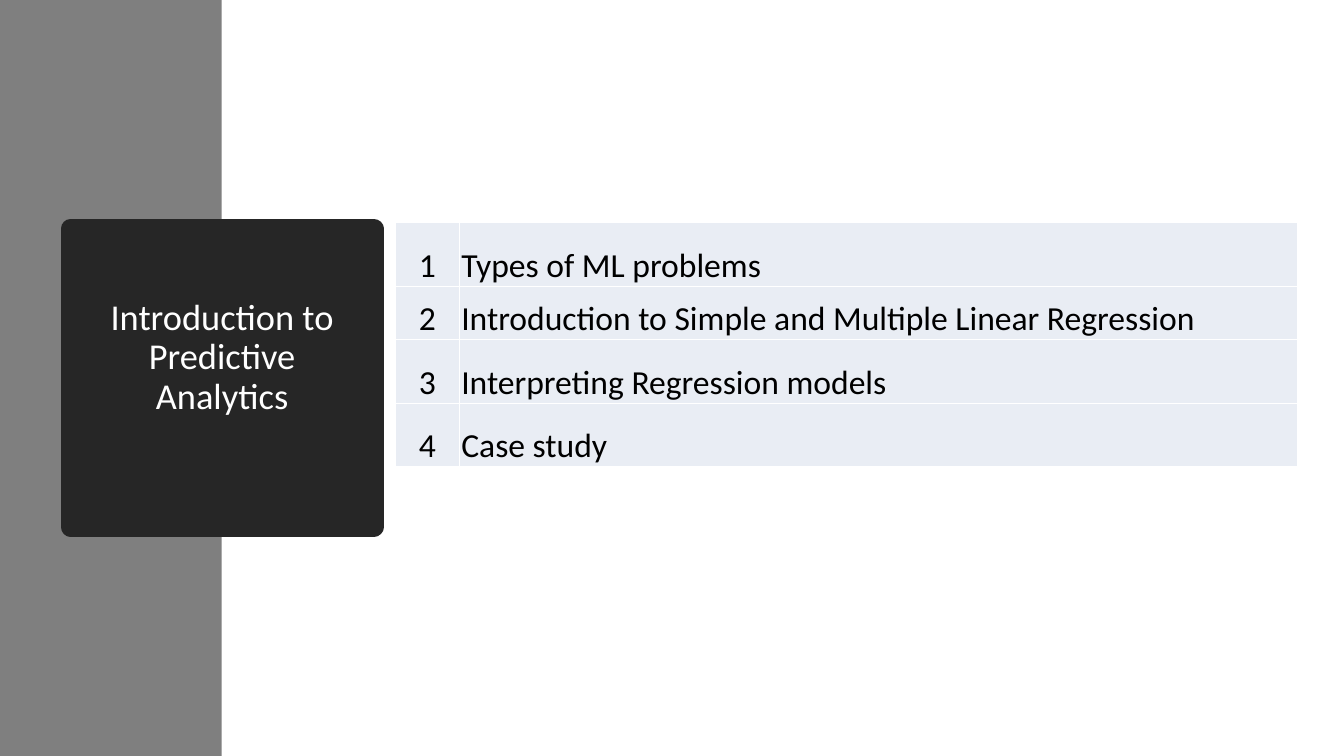
from dataclasses import dataclass

from lxml import etree
from pptx import Presentation
from pptx.dml.color import RGBColor
from pptx.enum.shapes import MSO_SHAPE
from pptx.enum.text import MSO_ANCHOR, MSO_AUTO_SIZE, PP_ALIGN
from pptx.oxml.ns import qn
from pptx.util import Pt

RECTANGLE = MSO_SHAPE.RECTANGLE
MIDDLE, BOTTOM = MSO_ANCHOR.MIDDLE, MSO_ANCHOR.BOTTOM
LEFT, CENTER = PP_ALIGN.LEFT, PP_ALIGN.CENTER
NO_AUTOFIT = MSO_AUTO_SIZE.NONE
TITLE_ONLY_LAYOUT = 5


@dataclass(frozen=True)
class Theme:
    font: str = "Calibri"
    title_size: int = 26
    table_size: int = 24
    white: str = "FFFFFF"
    black: str = "000000"
    sidebar: str = "7F7F7F"
    title_box: str = "262626"
    cell: str = "E9EDF4"


theme = Theme()


def format_paragraph(paragraph, size, color, alignment):
    paragraph.alignment = alignment
    for run in paragraph.runs:
        run.font.name = theme.font
        run.font.size = Pt(size)
        run.font.color.rgb = RGBColor.from_string(color)


def add_cell_borders(cell, color):
    properties = cell._tc.get_or_add_tcPr()
    for position, side in enumerate(("lnL", "lnR", "lnT", "lnB")):
        line = etree.Element(qn(f"a:{side}"), w=str(Pt(1)))
        fill = etree.SubElement(line, qn("a:solidFill"))
        etree.SubElement(fill, qn("a:srgbClr"), val=color)
        properties.insert(position, line)


presentation = Presentation()
presentation.slide_width = Pt(960)
presentation.slide_height = Pt(540)
slide = presentation.slides.add_slide(presentation.slide_layouts[TITLE_ONLY_LAYOUT])

# Grey sidebar
sidebar = slide.shapes.add_shape(RECTANGLE, 0, 0, Pt(158.4), Pt(540))
sidebar.shadow.inherit = False
sidebar.fill.solid()
sidebar.fill.fore_color.rgb = RGBColor.from_string(theme.sidebar)
sidebar.line.fill.background()

# Title box in front of the sidebar, its thick line rounding the corners
title = slide.shapes.title
sidebar.element.addnext(title.element)
title.left, title.top, title.width, title.height = Pt(50.4), Pt(163.4), Pt(216.7), Pt(213.1)
title.fill.solid()
title.fill.fore_color.rgb = RGBColor.from_string(theme.title_box)
title.line.color.rgb = RGBColor.from_string(theme.title_box)
title.line.width = Pt(13.75)
etree.SubElement(title.line._get_or_add_ln(), qn("a:round"))

title_frame = title.text_frame
title_frame.text = "Introduction to Predictive Analytics"
title_frame.word_wrap = True
title_frame.auto_size = NO_AUTOFIT
title_frame.vertical_anchor = MIDDLE
title_frame.margin_left = title_frame.margin_right = Pt(22)
title_frame.margin_top, title_frame.margin_bottom = Pt(3.6), Pt(31.8)
title_paragraph = title_frame.paragraphs[0]
title_paragraph.line_spacing = 0.9
format_paragraph(title_paragraph, theme.title_size, theme.white, CENTER)

# Numbered agenda table
topics = [
    ("Types of ML problems", 45.4),
    ("Introduction to Simple and Multiple Linear Regression", 38),
    ("Interpreting Regression models", 45.4),
    ("Case study", 45.4),
]
column_widths = (45.6, 598.8)
table_height = sum(height for topic, height in topics)
agenda = slide.shapes.add_table(
    len(topics), len(column_widths),
    Pt(282.5), Pt(159.2), Pt(sum(column_widths)), Pt(table_height),
).table
agenda.first_row = False
agenda.horz_banding = False
for column, width in zip(agenda.columns, column_widths):
    column.width = Pt(width)

for number, (topic, height) in enumerate(topics, start=1):
    row = agenda.rows[number - 1]
    row.height = Pt(height)
    for cell, text, alignment in zip(row.cells, (str(number), topic), (CENTER, LEFT)):
        cell.text_frame.text = text
        cell.vertical_anchor = BOTTOM
        cell.margin_left = cell.margin_right = cell.margin_top = Pt(1.4)
        cell.margin_bottom = 0
        cell.fill.solid()
        cell.fill.fore_color.rgb = RGBColor.from_string(theme.cell)
        add_cell_borders(cell, theme.white)
        format_paragraph(cell.text_frame.paragraphs[0], theme.table_size, theme.black, alignment)

presentation.save("out.pptx")
